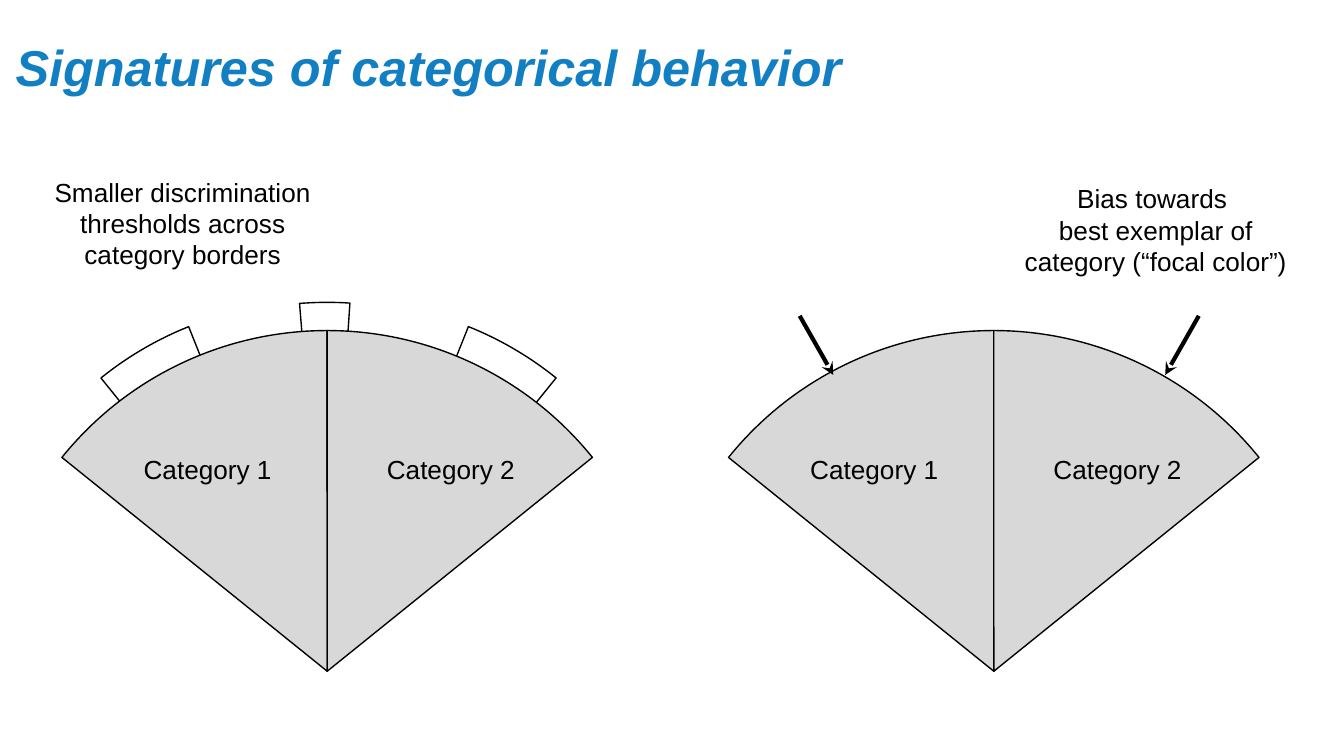
from pptx import Presentation
from pptx.dml.color import RGBColor
from pptx.enum.shapes import MSO_CONNECTOR, MSO_SHAPE
from pptx.enum.text import MSO_ANCHOR, PP_ALIGN
from pptx.oxml.ns import qn
from pptx.util import Inches, Pt
from lxml.etree import SubElement

BLACK = RGBColor(0x00, 0x00, 0x00)
WHITE = RGBColor(0xFF, 0xFF, 0xFF)
GRAY = RGBColor(0xD8, 0xD8, 0xD8)
BLUE = RGBColor(0x13, 0x7F, 0xC3)

TITLE = "Signatures of categorical behavior"
NOTES = [
    (0.16, 1.21, ["Smaller discrimination thresholds across category borders"]),
    (7.4, 1.26, ["Bias towards ", "best exemplar of category (“focal color”)"]),
]
CATEGORIES = ["Category 1", "Category 2"]
FAN_LEFTS = [-0.1, 4.86]
FAN_TOP = 2.46
FAN_ANGLES = (218.87, 270)
DIAMETER = 5.07
THRESHOLD_TOP = 2.25
BORDER_ANGLES = (265.35, 273.83)
SIDE_ANGLES = (231.07, 248.22)
LABEL_OFFSETS = [1.04, 2.85]
ARROWS = [(5.95, 6.2), (8.92, 8.67)]
ARROW_TOP, ARROW_TIP = 2.35, 2.79


def mirror(angles):
    start, end = angles
    return 540 - end, 540 - start


THRESHOLDS = [
    (-0.1, BORDER_ANGLES),
    (0.01, mirror(SIDE_ANGLES)),
    (-0.19, SIDE_ANGLES),
]


def add_sector(left, top, angles, color):
    sector = slide.shapes.add_shape(
        MSO_SHAPE.PIE, Inches(left), Inches(top), Inches(DIAMETER), Inches(DIAMETER)
    )
    for index, angle in enumerate(angles):
        sector.adjustments[index] = angle * 0.6
    sector.shadow.inherit = False
    sector.fill.solid()
    sector.fill.fore_color.rgb = color
    sector.line.color.rgb = BLACK
    sector.line.width = Pt(0.75)


def format_paragraph(paragraph, size, color):
    paragraph.alignment = PP_ALIGN.CENTER
    for run in paragraph.runs:
        run.font.name = "Arial"
        run.font.size = Pt(size)
        run.font.color.rgb = color


def add_text(left, top, width, height, lines):
    box = slide.shapes.add_textbox(
        Inches(left), Inches(top), Inches(width), Inches(height)
    )
    text_frame = box.text_frame
    text_frame.word_wrap = True
    text_frame.margin_top = text_frame.margin_bottom = Inches(0.1)
    text_frame.text = "\n".join(lines)
    for paragraph in text_frame.paragraphs:
        format_paragraph(paragraph, 14, BLACK)


def add_arrow(start, tip):
    arrow = slide.shapes.add_connector(
        MSO_CONNECTOR.STRAIGHT,
        Inches(start), Inches(ARROW_TOP), Inches(tip), Inches(ARROW_TIP),
    )
    arrow.line.color.rgb = BLACK
    arrow.line.width = Pt(2.25)
    properties = arrow._element.spPr
    SubElement(properties.find(qn("a:ln")), qn("a:tailEnd"), type="stealth")
    SubElement(properties, qn("a:effectLst"))


presentation = Presentation()
presentation.slide_width = Inches(10)
presentation.slide_height = presentation.slide_width * 9 // 16
slide = presentation.slides.add_slide(presentation.slide_layouts[5])

title = slide.shapes.title
title.left, title.top = Inches(0), Inches(0)
title.width, title.height = Inches(6.38), Inches(0.99)
title.text_frame.text = TITLE
title.text_frame.vertical_anchor = MSO_ANCHOR.MIDDLE
title.text_frame.margin_left = title.text_frame.margin_right = Inches(0.08)
heading = title.text_frame.paragraphs[0]
format_paragraph(heading, 27, BLUE)
heading.runs[0].font.bold = True
heading.runs[0].font.italic = True

for left, angles in THRESHOLDS:
    add_sector(left, THRESHOLD_TOP, angles, WHITE)

for fan_left in FAN_LEFTS:
    for angles in (FAN_ANGLES, mirror(FAN_ANGLES)):
        add_sector(fan_left, FAN_TOP, angles, GRAY)
    for category, offset in zip(CATEGORIES, LABEL_OFFSETS):
        add_text(fan_left + offset, 3.27, 1.21, 0.44, [category])

for start, tip in ARROWS:
    add_arrow(start, tip)
for left, top, lines in NOTES:
    add_text(left, top, 2.4, 0.91, lines)

presentation.save("out.pptx")
